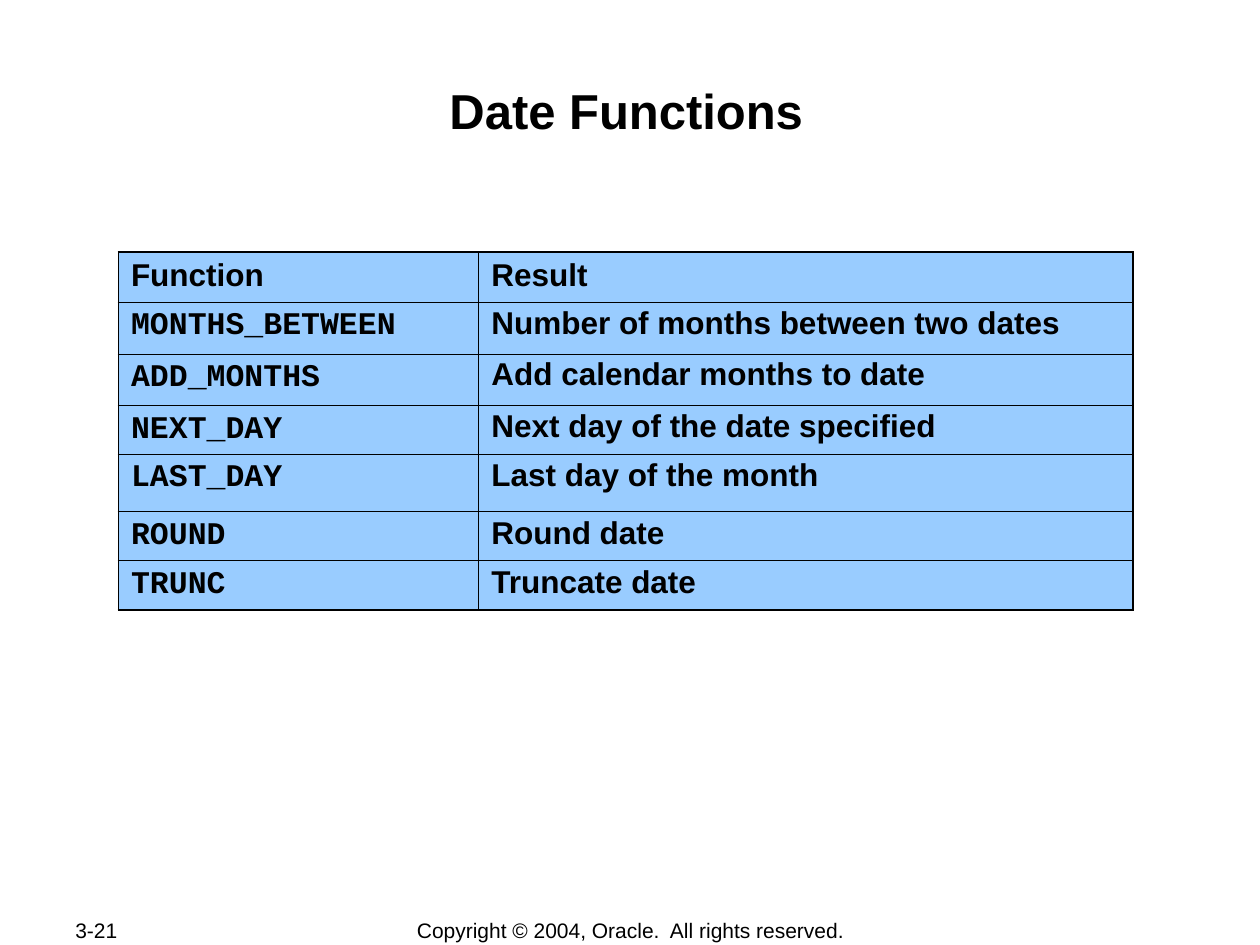
from pptx import Presentation
from pptx.dml.color import RGBColor as RGB
from pptx.enum.text import MSO_ANCHOR as Anchor, PP_ALIGN as Align
from pptx.oxml import parse_xml
from pptx.oxml.ns import nsdecls
from pptx.util import Inches, Pt

HUE = {"ink": "000000", "cell": "99CCFF", "page": "FFFFFF"}


def write(frame, text, size=18, font="Arial", bold=True, align=Align.LEFT, gap=1.0):
    frame.word_wrap = True
    para = frame.paragraphs[0]
    para.text = text
    para.alignment = align
    para.line_spacing = gap
    para.font.size = Pt(size)
    para.font.name = font
    para.font.bold = bold
    para.font.color.rgb = RGB.from_string(HUE["ink"])


def edge(cell, side, width):
    line = parse_xml(
        f'<a:{side} {nsdecls("a")} w="{Pt(width)}"><a:solidFill>'
        f'<a:srgbClr val="{HUE["ink"]}"/></a:solidFill></a:{side}>')
    cell._tc.get_or_add_tcPr().append(line)


deck = Presentation()
deck.slide_width, deck.slide_height = Inches(10), Inches(7.5)
slide = deck.slides.add_slide(deck.slide_layouts[6])
slide.background.fill.solid()
slide.background.fill.fore_color.rgb = RGB.from_string(HUE["page"])

# Footer: page number and copyright
FOOT = [
    ("3-21", 0.5, 1.06, Align.LEFT),
    ("Copyright © 2004, Oracle.  All rights reserved.", 2.76, 4.49, Align.CENTER),
]
for text, left, width, align in FOOT:
    box = slide.shapes.add_textbox(Inches(left), Inches(7.28), Inches(width), Inches(0.2))
    box.text_frame.vertical_anchor = Anchor.MIDDLE
    write(box.text_frame, text, size=12, bold=False, align=align)

# Title
title = slide.shapes.add_textbox(Inches(0.97), Inches(0.58), Inches(8), Inches(0.96))
title.text_frame.margin_top = Inches(0.06)
write(title.text_frame, "Date Functions", size=28, align=Align.CENTER)

# Table rows: height, then text and line spacing of both cells
ROWS = [
    (0.4, "Function", 1.0, "Result", 1.0),
    (0.41, "MONTHS_BETWEEN", 0.9, "Number of months between two dates", 0.9),
    (0.41, "ADD_MONTHS", 0.9, "Add calendar months to date", 0.9),
    (0.39, "NEXT_DAY", 0.95, "Next day of the date specified", 0.9),
    (0.45, "LAST_DAY", 0.9, "Last day of the month", 0.9),
    (0.39, "ROUND", 0.95, "Round date", 0.95),
    (0.39, "TRUNC", 0.95, "Truncate date", 0.95),
]
COLS = [2.86, 5.19]
THICK, THIN = 1.08, 0.45
last = len(ROWS) - 1

grid = slide.shapes.add_table(len(ROWS), len(COLS), Inches(0.94), Inches(2),
                              Inches(sum(COLS)), Inches(2.84)).table
grid.horz_banding = False
for col, width in zip(grid.columns, COLS):
    col.width = Inches(width)

for r, (height, name, tight, result, loose) in enumerate(ROWS):
    grid.rows[r].height = Inches(height)
    for c, (text, gap) in enumerate([(name, tight), (result, loose)]):
        cell = grid.cell(r, c)
        code = r > 0 and c == 0
        write(cell.text_frame, text, font="Courier New" if code else "Arial", gap=gap)
        # Thick outer frame and header rule, thin lines inside
        edge(cell, "lnL", THICK if c == 0 else THIN)
        edge(cell, "lnR", THICK if c == 1 else THIN)
        edge(cell, "lnT", THICK if r < 2 else THIN)
        edge(cell, "lnB", THICK if r in (0, last) else THIN)
        cell.fill.solid()
        cell.fill.fore_color.rgb = RGB.from_string(HUE["cell"])

deck.save("out.pptx")
